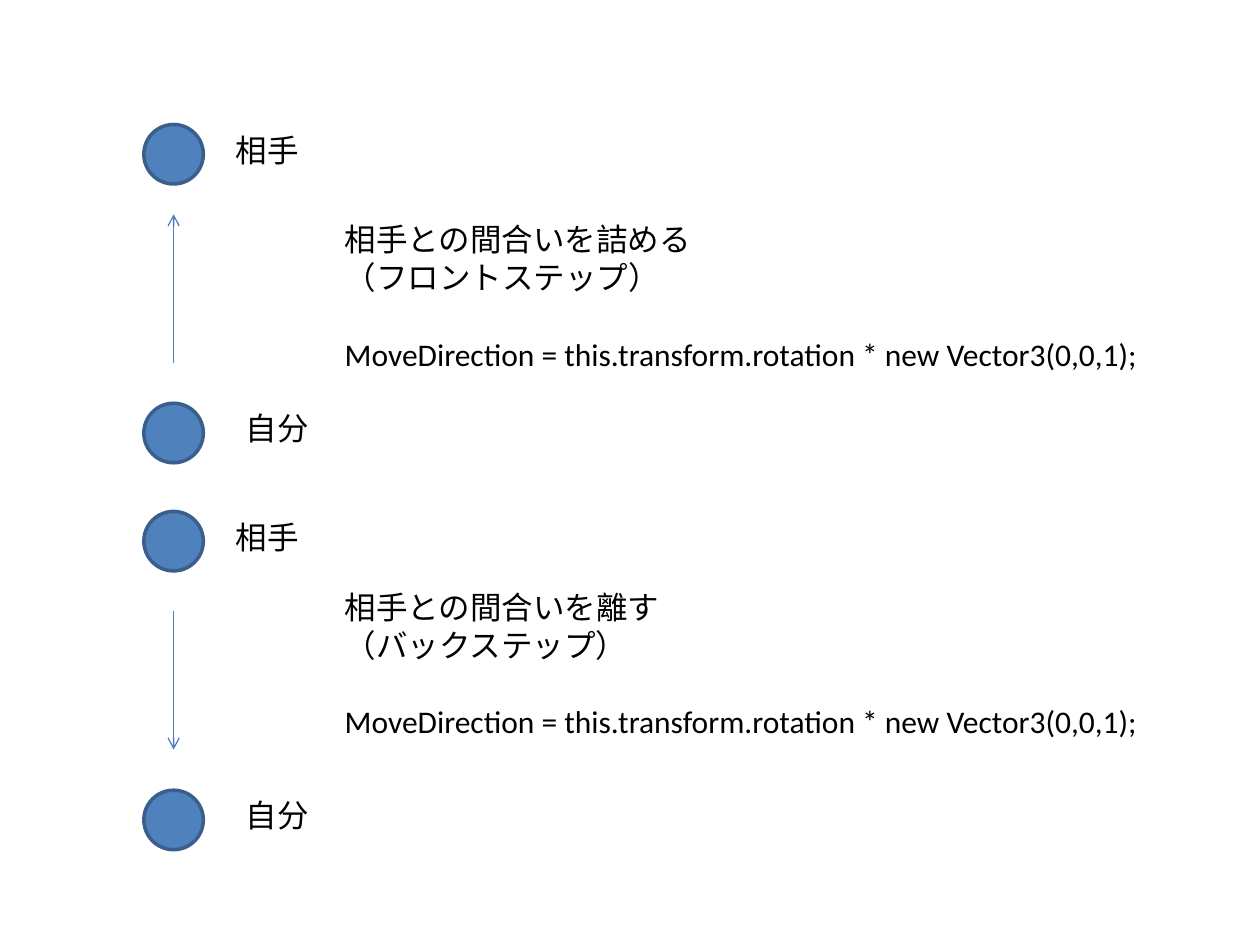
from lxml.etree import SubElement as Sub
from pptx import Presentation as Deck
from pptx.dml.color import RGBColor
from pptx.enum.shapes import MSO_CONNECTOR as Link, MSO_SHAPE as Form
from pptx.enum.text import MSO_AUTO_SIZE as Fit
from pptx.oxml.ns import qn
from pptx.util import Cm, Pt

BLUE = RGBColor(0x4F, 0x81, 0xBD)
EDGE = RGBColor(0x3A, 0x5F, 0x8C)
LINE = RGBColor(0x4B, 0x7E, 0xBC)
BLACK = RGBColor(0, 0, 0)

FONT = {"name": "Calibri", "size": Pt(18)}
FRAME = {"word_wrap": True, "auto_size": Fit.SHAPE_TO_FIT_TEXT}

LEFT, SIZE = 2.9, 1.2  # circle column
MID = LEFT + SIZE / 2
DROP = 5.62  # from the opponent down to the player
CODE = "MoveDirection = this.transform.rotation * new Vector3(0,0,1);"

# top of panel, arrow start, arrow end, top of note, note lines
PANELS = [
    (2.51, 7.32, 4.32, 4.32, ["相手との間合いを詰める", "（フロントステップ）"]),
    (10.31, 12.32, 15.11, 11.73, ["相手との間合いを離す", "（バックステップ）"]),
]


def style(item, form):
    for key, val in form.items():
        setattr(item, key, val)


def add_dot(slide, top):
    dot = slide.shapes.add_shape(Form.OVAL, Cm(LEFT), Cm(top), Cm(SIZE), Cm(SIZE))
    dot.shadow.inherit = False
    dot.fill.solid()
    dot.fill.fore_color.rgb = BLUE
    dot.line.color.rgb = EDGE
    dot.line.width = Pt(2)


def add_arrow(slide, start, end):
    arrow = slide.shapes.add_connector(
        Link.STRAIGHT, Cm(MID), Cm(start), Cm(MID), Cm(end))
    arrow.line.color.rgb = LINE
    arrow.line.width = Pt(0.75)
    Sub(arrow.line._get_or_add_ln(), qn("a:tailEnd"), type="arrow")
    Sub(arrow._element.spPr, qn("a:effectLst"))


def add_text(slide, left, top, width, height, lines):
    box = slide.shapes.add_textbox(Cm(left), Cm(top), Cm(width), Cm(height))
    frame = box.text_frame
    style(frame, FRAME)
    frame.text = "\n".join(lines)
    for para in frame.paragraphs:
        for run in para.runs:
            style(run.font, FONT)
            run.font.color.rgb = BLACK
    return frame


def add_panel(slide, top, start, end, note, lines):
    # Opponent above, player below
    for name, left, place in (("相手", 4.5, top), ("自分", 4.7, top + DROP)):
        add_dot(slide, place)
        add_text(slide, left, place, 2.8, 1.03, [name])
    # Direction of the step
    add_arrow(slide, start, end)
    # Note, with a gap above the code line
    frame = add_text(slide, 6.7, note, 17.2, 3.33, lines + [CODE])
    frame.paragraphs[-1].space_before = Pt(22)


def main():
    deck = Deck()
    deck.slide_width, deck.slide_height = Cm(25.4), Cm(19.05)
    slide = deck.slides.add_slide(deck.slide_layouts[6])
    for panel in PANELS:
        add_panel(slide, *panel)
    deck.save("out.pptx")


if __name__ == "__main__":
    main()
